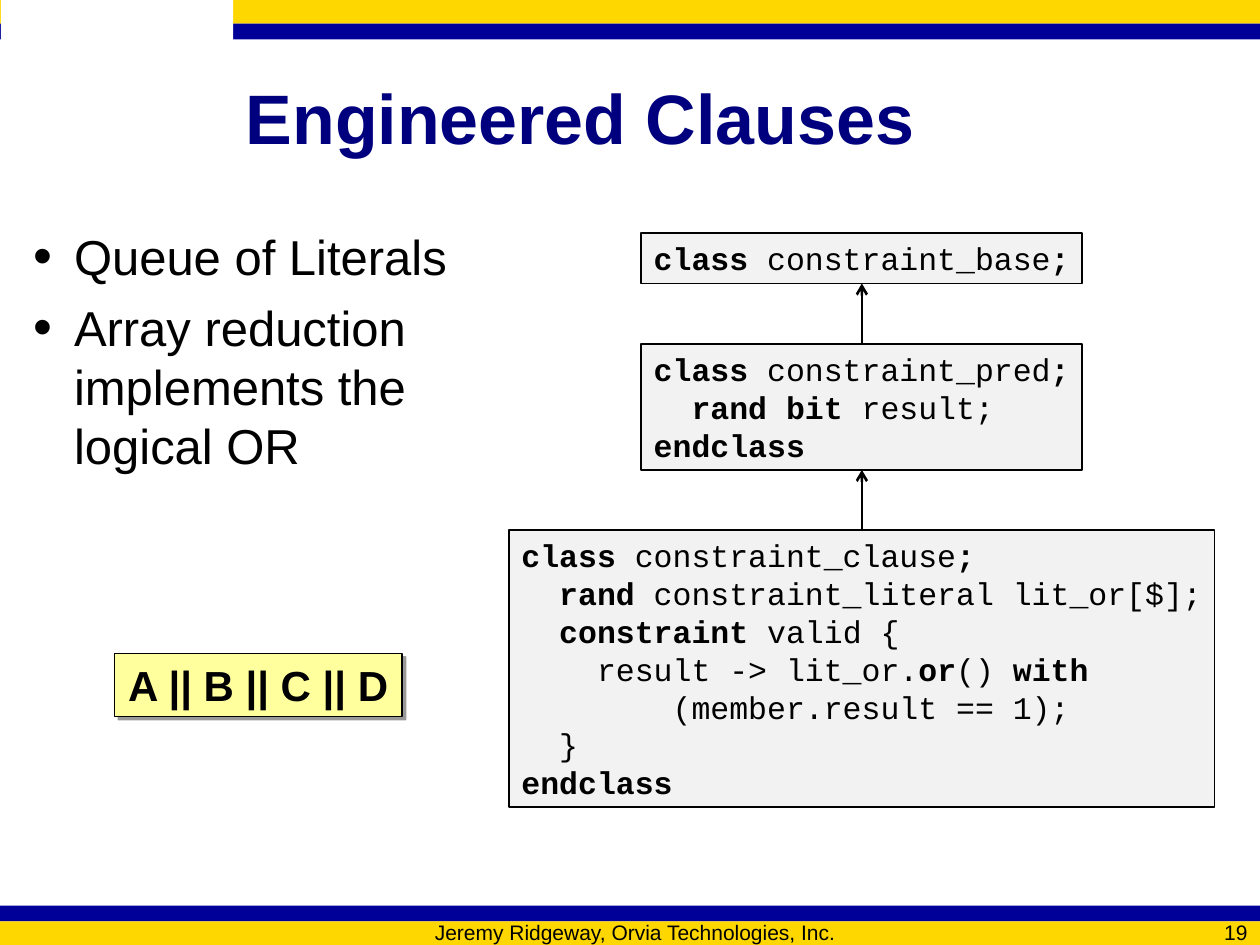
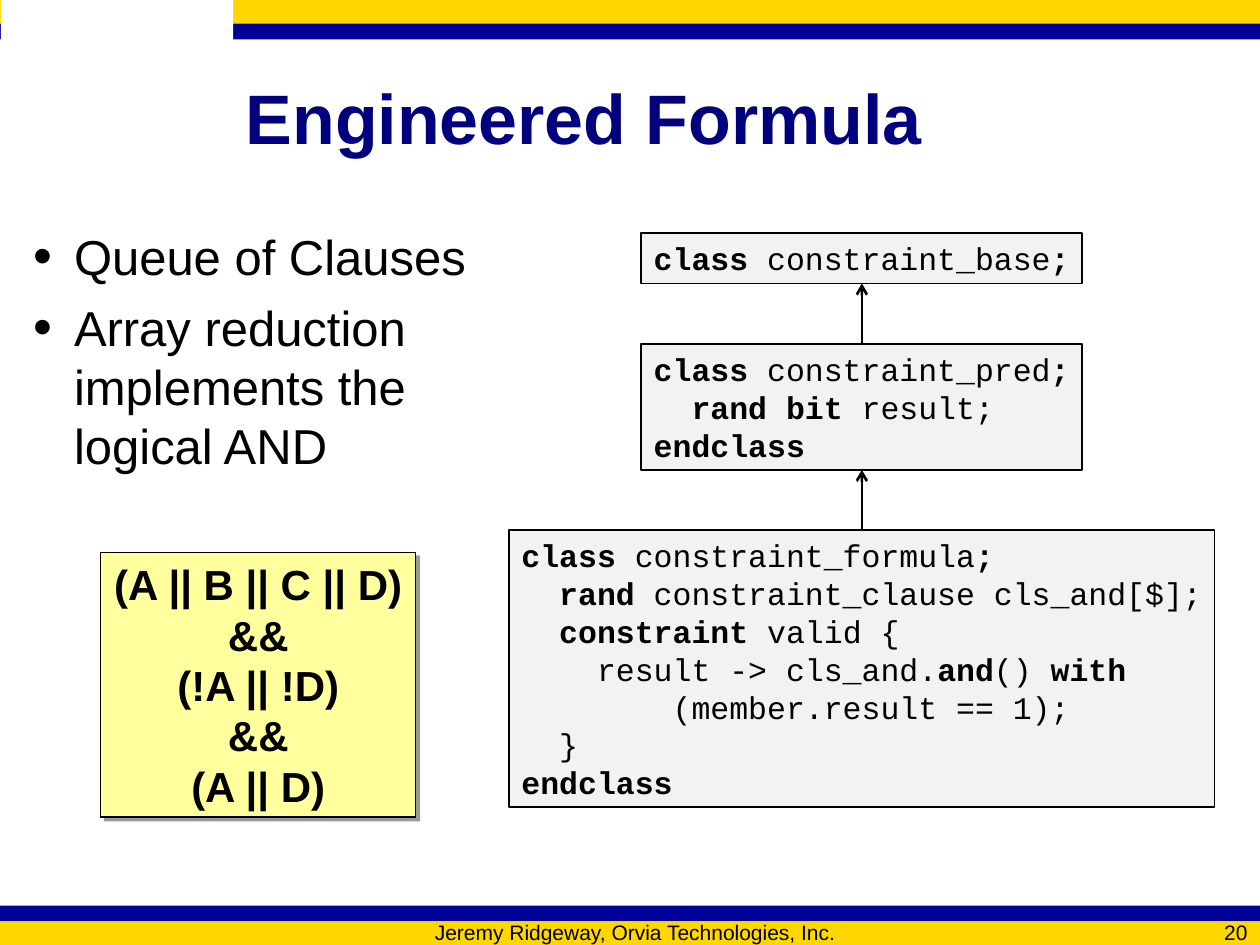
from lxml import etree
from pptx import Presentation
from pptx.dml.color import RGBColor
from pptx.enum.shapes import MSO_CONNECTOR, MSO_SHAPE
from pptx.enum.text import MSO_ANCHOR, MSO_AUTO_SIZE, PP_ALIGN
from pptx.oxml.ns import qn
from pptx.util import Pt

RECT, LINE = MSO_SHAPE.RECTANGLE, MSO_CONNECTOR.STRAIGHT
TOP, MIDDLE = MSO_ANCHOR.TOP, MSO_ANCHOR.MIDDLE
LEFT, CENTER, RIGHT = PP_ALIGN.LEFT, PP_ALIGN.CENTER, PP_ALIGN.RIGHT
GROW = MSO_AUTO_SIZE.SHAPE_TO_FIT_TEXT

GOLD = RGBColor(0xFF, 0xD7, 0x00)
BLUE = RGBColor(0x00, 0x00, 0x99)
NAVY = RGBColor(0x00, 0x00, 0x7F)
GREY = RGBColor(0xF2, 0xF2, 0xF2)
YELLOW = RGBColor(0xFF, 0xFF, 0x9E)
WHITE = RGBColor(0xFF, 0xFF, 0xFF)
BLACK = RGBColor(0x00, 0x00, 0x00)

SANS, MONO = "Arial", "Courier New"
WIDE, HIGH = 720, 540
LEAD = 1.2               # line pitch per point of text size
PAD_X, PAD_Y = 7.2, 3.6  # text insets
FOOTER = "Jeremy Ridgeway, Orvia Technologies, Inc."

# Asterisks enclose bold code
BASE = ["*class* constraint_base*;*"]
PRED = ["*class* constraint_pred*;*", "  *rand bit* result;", "*endclass*"]


def rule(name, item, queue, word):
    """Code of a class that reduces a queue of items with one operator."""
    return [f"*class* {name}*;*",
            f"  *rand* {item} {queue}[$];",
            "  *constraint* valid {",
            f"    result -> {queue}.*{word}*() *with*\n"
            "        (member.result == 1);",
            "  }",
            "*endclass*"]


def add(node, tag, **attrs):
    return etree.SubElement(node, qn(tag), attrs)


def rows(paras):
    return "\n".join(paras).split("\n")


class Deck:
    def __init__(self):
        self.prs = Presentation()
        self.prs.slide_width, self.prs.slide_height = Pt(WIDE), Pt(HIGH)
        self.slide = None

    def page(self, title, number):
        layout = self.prs.slide_layouts.get_by_name("Title Only")
        self.slide = self.prs.slides.add_slide(layout)
        # Bands, with a white gap at top left
        self.box(0, 0, WIDE, 13.5, GOLD)
        self.box(0, 13.5, WIDE, 9, BLUE)
        self.box(0.5, 0, 132.7, 77.8, WHITE)
        self.box(0, 517.5, WIDE, 9, BLUE)
        self.box(0, 526.5, WIDE, 13.5, GOLD)
        # Title
        head = self.slide.shapes.title
        head.left, head.top = Pt(133.2), Pt(21.6)
        head.width, head.height = Pt(576), Pt(90)
        self.fill(head, [title], 40, NAVY, anchor=MIDDLE, bold=True)
        # Footer
        self.label(90, 526.5, 546, 12.3, [FOOTER], 12, CENTER, MIDDLE)
        self.label(648, 526.5, 72, 12.3, [number], 12, RIGHT, MIDDLE)

    def fill(self, shape, paras, size, color=BLACK, font=SANS, align=LEFT,
             anchor=TOP, bold=False, wrap=True):
        frame = shape.text_frame
        frame.word_wrap, frame.vertical_anchor = wrap, anchor
        frame.margin_left = frame.margin_right = Pt(PAD_X)
        frame.margin_top = frame.margin_bottom = Pt(PAD_Y)
        for i, text in enumerate(paras):
            para = frame.add_paragraph() if i else frame.paragraphs[0]
            para.alignment = align
            para.line_spacing = Pt(size * LEAD)
            for j, row in enumerate(text.split("\n")):
                if j:
                    para.add_line_break()
                for k, part in enumerate(row.split("*")):
                    if part:
                        run = para.add_run()
                        run.text = part
                        run.font.name, run.font.size = font, Pt(size)
                        run.font.bold = bold or k % 2 == 1
                        run.font.color.rgb = color
        return frame

    def label(self, x, y, w, h, paras, size, align=LEFT, anchor=TOP):
        area = self.slide.shapes.add_textbox(Pt(x), Pt(y), Pt(w), Pt(h))
        return self.fill(area, paras, size, align=align, anchor=anchor)

    def list(self, items):
        frame = self.label(12.24, 126, 342, 383.8, items, 28)
        for i, para in enumerate(frame.paragraphs):
            props = para._p.get_or_add_pPr()
            props.set("marL", str(Pt(23)))
            props.set("indent", str(Pt(-23)))
            add(add(props, "a:buClr"), "a:srgbClr", val=str(BLACK))
            add(props, "a:buSzPct", val="110000")
            add(props, "a:buFont", typeface=SANS)
            add(props, "a:buChar", char="•")
            if i:
                para.space_before = Pt(7)

    def box(self, x, y, w, h, color, edge=None):
        shape = self.slide.shapes.add_shape(RECT, Pt(x), Pt(y), Pt(w), Pt(h))
        shape.shadow.inherit = False
        shape.fill.solid()
        shape.fill.fore_color.rgb = color
        if edge:
            shape.line.color.rgb, shape.line.width = BLACK, Pt(edge)
        else:
            shape.line.fill.background()
        return shape

    def code(self, mid, y, paras):
        lines = rows(paras)
        chars = max(len(line.replace("*", "")) for line in lines)
        w = chars * 18 * 0.6 + 2 * PAD_X
        h = len(lines) * 18 * LEAD + 2 * PAD_Y
        shape = self.box(mid - w / 2, y, w, h, GREY, 1)
        self.fill(shape, paras, 18, font=MONO, wrap=False).auto_size = GROW
        return shape

    def arrow(self, start, end):
        line = self.slide.shapes.add_connector(LINE, 0, 0, 0, 0)
        line.begin_connect(start, 0)
        line.end_connect(end, 2)
        line.line.color.rgb, line.line.width = BLACK, Pt(1.5)
        add(line.line._get_or_add_ln(), "a:tailEnd", type="arrow")
        add(line._element.spPr, "a:effectLst")

    def chain(self, blocks):
        y, above = 133.2, None
        for paras in blocks:
            shape = self.code(492.5, y, paras)
            if above is not None:
                self.arrow(shape, above)
            above = shape
            y += shape.height.pt + 34.5

    def note(self, text, w):
        h = len(rows([text])) * 24 * LEAD + 2 * PAD_Y
        shape = self.box(147.6 - w / 2, 391.3 - h / 2, w, h, YELLOW, 0.75)
        self.fill(shape, [text], 24, align=CENTER, bold=True,
                  wrap=False).auto_size = GROW
        # Hard shadow to the lower right
        glow = shape._element.spPr.find(qn("a:effectLst"))
        cast = add(glow, "a:outerShdw", blurRad="0", dist=str(Pt(3)),
                   dir="2700000", algn="tl", rotWithShape="0")
        tint = add(cast, "a:srgbClr", val=str(BLACK))
        add(tint, "a:alpha", val="40000")


def main():
    deck = Deck()
    pages = [
        ("Engineered Clauses", "19", "Literals", "OR",
         rule("constraint_clause", "constraint_literal", "lit_or", "or"),
         "A || B || C || D", 164.2),
        ("Engineered Formula", "20", "Clauses", "AND",
         rule("constraint_formula", "constraint_clause", "cls_and", "and"),
         "(A || B || C || D)\n&&\n(!A || !D)\n&&\n(A || D)", 180),
    ]
    for title, number, queue, word, last, note, width in pages:
        deck.page(title, number)
        deck.list([f"Queue of {queue}",
                   f"Array reduction\nimplements the\nlogical {word}"])
        deck.chain([BASE, PRED, last])
        deck.note(note, width)
    deck.prs.save("out.pptx")


if __name__ == "__main__":
    main()
